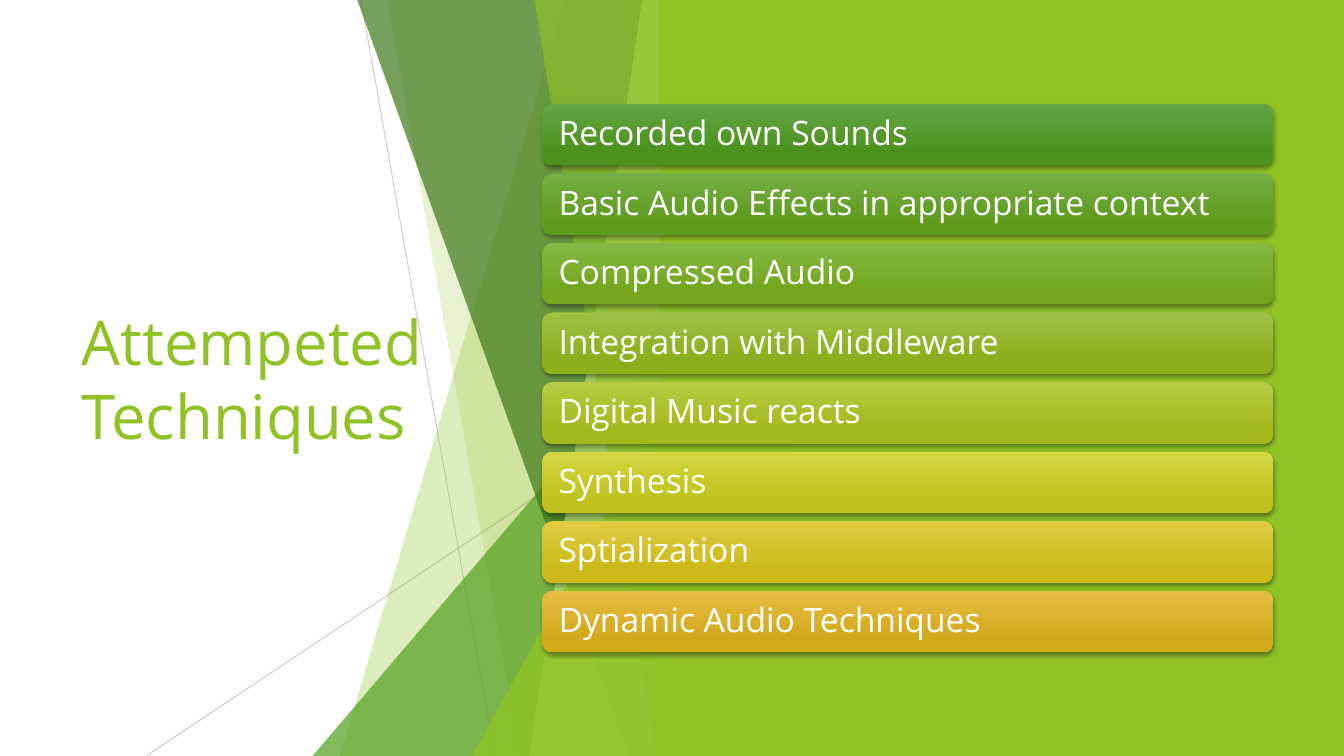
from dataclasses import dataclass

from lxml import etree
from pptx import Presentation
from pptx import util as u
from pptx.dml.color import RGBColor
from pptx.enum import shapes, text
from pptx.oxml.ns import qn

LIME = RGBColor(0x90, 0xC2, 0x26)
GREEN = RGBColor(0x54, 0xA0, 0x21)
FOREST = RGBColor(0x3F, 0x78, 0x19)
PALE_LIME = RGBColor(0xC0, 0xE4, 0x74)
GREY = RGBColor(0xBF, 0xBF, 0xBF)
WHITE = RGBColor(0xFF, 0xFF, 0xFF)

FONT = "Open Sans"
SLIDE_WIDTH, SLIDE_HEIGHT = u.Inches(13.33), u.Inches(7.5)
FACET_TOP, FACET_RIGHT = u.Inches(-0.01), u.Inches(6.66)
BAR_LEFT, BAR_TOP = u.Inches(5.38), u.Inches(1.03)
BAR_WIDTH, BAR_HEIGHT, BAR_STEP = u.Inches(7.25), u.Inches(0.61), u.Inches(0.69)

TITLE_FRAME = {"word_wrap": True, "auto_size": text.MSO_AUTO_SIZE.NONE,
               "vertical_anchor": text.MSO_ANCHOR.MIDDLE}
BAR_FRAME = TITLE_FRAME | {"margin_left": u.Inches(0.13), "margin_right": u.Inches(0.13),
                           "margin_top": u.Inches(0.1), "margin_bottom": u.Inches(0.1)}


@dataclass
class Ray:
    start_x: float
    start_y: float
    end_x: float
    end_y: float
    opacity: int


@dataclass
class Facet:
    """Four-sided pane from its slanted left edge to the shared right edge."""
    top_x: float
    bottom_x: float
    color: RGBColor
    opacity: int


@dataclass
class Wedge:
    """Right triangle rising from the slide's bottom to the shared right edge."""
    left: float
    top: float
    color: RGBColor
    opacity: int


@dataclass
class Bar:
    label: str
    light: str
    dark: str


RAYS = [Ray(3.58, 0, 4.91, 7.5, 75), Ray(6.66, 4.03, 1.45, 7.5, 80)]
PANES = [
    Facet(5.61, 3.37, LIME, 30),
    Facet(3.84, 5.16, LIME, 20),
    Wedge(3.1, 3.33, GREEN, 72),
    Facet(3.54, 6.24, FOREST, 70),
    Facet(6.37, 5.25, PALE_LIME, 70),
    Facet(5.3, 6.51, LIME, 65),
    Wedge(4.68, 3.93, LIME, 80),
]
BARS = [
    Bar("Recorded own Sounds", "63A545", "4D921E"),
    Bar("Basic Audio Effects in appropriate context", "74AE44", "5F9C1E"),
    Bar("Compressed Audio", "87B844", "74A51D"),
    Bar("Integration with Middleware", "9DC244", "8BAE1D"),
    Bar("Digital Music reacts", "B7CC44", "A4B81C"),
    Bar("Synthesis", "D4D643", "C0C21B"),
    Bar("Sptialization", "E0CC43", "CCB919"),
    Bar("Dynamic Audio Techniques", "E7BC43", "D2A91B"),
]


def apply(target, values: dict) -> None:
    for name, value in values.items():
        setattr(target, name, value)


def set_opacity(shape, percent: int) -> None:
    color = next(shape._element.spPr.iter(qn("a:srgbClr")))
    etree.SubElement(color, qn("a:alpha"), val=str(percent * 1000))


def fill_flat(shape, color: RGBColor) -> None:
    shape.shadow.inherit = False
    shape.fill.solid()
    shape.fill.fore_color.rgb = color
    shape.line.fill.background()


def write(frame, words: str, frame_format: dict, size: int, color: RGBColor):
    apply(frame, frame_format)
    para = frame.paragraphs[0]
    para.alignment = text.PP_ALIGN.LEFT
    span = para.add_run()
    span.text = words
    apply(span.font, {"name": FONT, "size": u.Pt(size)})
    span.font.color.rgb = color
    return para


def draw_ray(page, ray: Ray) -> None:
    ends = [u.Inches(v) for v in (ray.start_x, ray.start_y, ray.end_x, ray.end_y)]
    line = page.shapes.add_connector(shapes.MSO_CONNECTOR.STRAIGHT, *ends)
    line.line.color.rgb = GREY
    line.line.width = u.Pt(0.75)
    set_opacity(line, ray.opacity)
    etree.SubElement(line._element.spPr, qn("a:effectLst"))


def draw_pane(page, pane: Facet | Wedge) -> None:
    if isinstance(pane, Facet):
        builder = page.shapes.build_freeform(u.Inches(pane.top_x), FACET_TOP)
        builder.add_line_segments([(FACET_RIGHT, FACET_TOP), (FACET_RIGHT, SLIDE_HEIGHT),
                                   (u.Inches(pane.bottom_x), SLIDE_HEIGHT)])
        shape = builder.convert_to_shape()
    else:
        left, top = u.Inches(pane.left), u.Inches(pane.top)
        shape = page.shapes.add_shape(shapes.MSO_SHAPE.ISOSCELES_TRIANGLE, left, top,
                                      FACET_RIGHT - left, SLIDE_HEIGHT - top)
        shape.adjustments[0] = 1
    fill_flat(shape, pane.color)
    set_opacity(shape, pane.opacity)


def add_drop_shadow(shape) -> None:
    shape.shadow.inherit = False
    effects = shape._element.spPr.find(qn("a:effectLst"))
    shadow = etree.SubElement(effects, qn("a:outerShdw"), blurRad=str(u.Pt(3)),
                              dist=str(u.Pt(2)), dir="5400000", rotWithShape="0")
    color = etree.SubElement(shadow, qn("a:srgbClr"), val="000000")
    etree.SubElement(color, qn("a:alpha"), val="35000")


def draw_bar(page, bar: Bar, row: int) -> None:
    box = page.shapes.add_shape(shapes.MSO_SHAPE.ROUNDED_RECTANGLE, BAR_LEFT,
                                BAR_TOP + row * BAR_STEP, BAR_WIDTH, BAR_HEIGHT)
    box.line.fill.background()
    box.fill.gradient()
    box.fill.gradient_angle = 270
    stops = [(bar.light, 0), (bar.dark, 0.78)]
    for stop, (color, position) in zip(box.fill.gradient_stops, stops):
        stop.color.rgb = RGBColor.from_string(color)
        stop.position = position
    add_drop_shadow(box)
    para = write(box.text_frame, bar.label, BAR_FRAME, 24, WHITE)
    para.line_spacing = 0.9


deck = Presentation()
apply(deck, {"slide_width": SLIDE_WIDTH, "slide_height": SLIDE_HEIGHT})
page = deck.slides.add_slide(deck.slide_layouts[5])

# Title
title = page.shapes.title
apply(title, {"left": u.Inches(0.71), "top": u.Inches(1.51),
              "width": u.Inches(3.88), "height": u.Inches(4.48)})
write(title.text_frame, "Attempeted Techniques", TITLE_FRAME, 44, LIME)

# Faceted divider
for ray in RAYS:
    draw_ray(page, ray)
for pane in PANES:
    draw_pane(page, pane)

# Lime panel on the right
panel_left = u.Inches(6.54)
panel = page.shapes.add_shape(shapes.MSO_SHAPE.RECTANGLE, panel_left, 0,
                              SLIDE_WIDTH - panel_left, SLIDE_HEIGHT)
fill_flat(panel, LIME)

# Technique bars
for row, bar in enumerate(BARS):
    draw_bar(page, bar, row)

deck.save("out.pptx")
